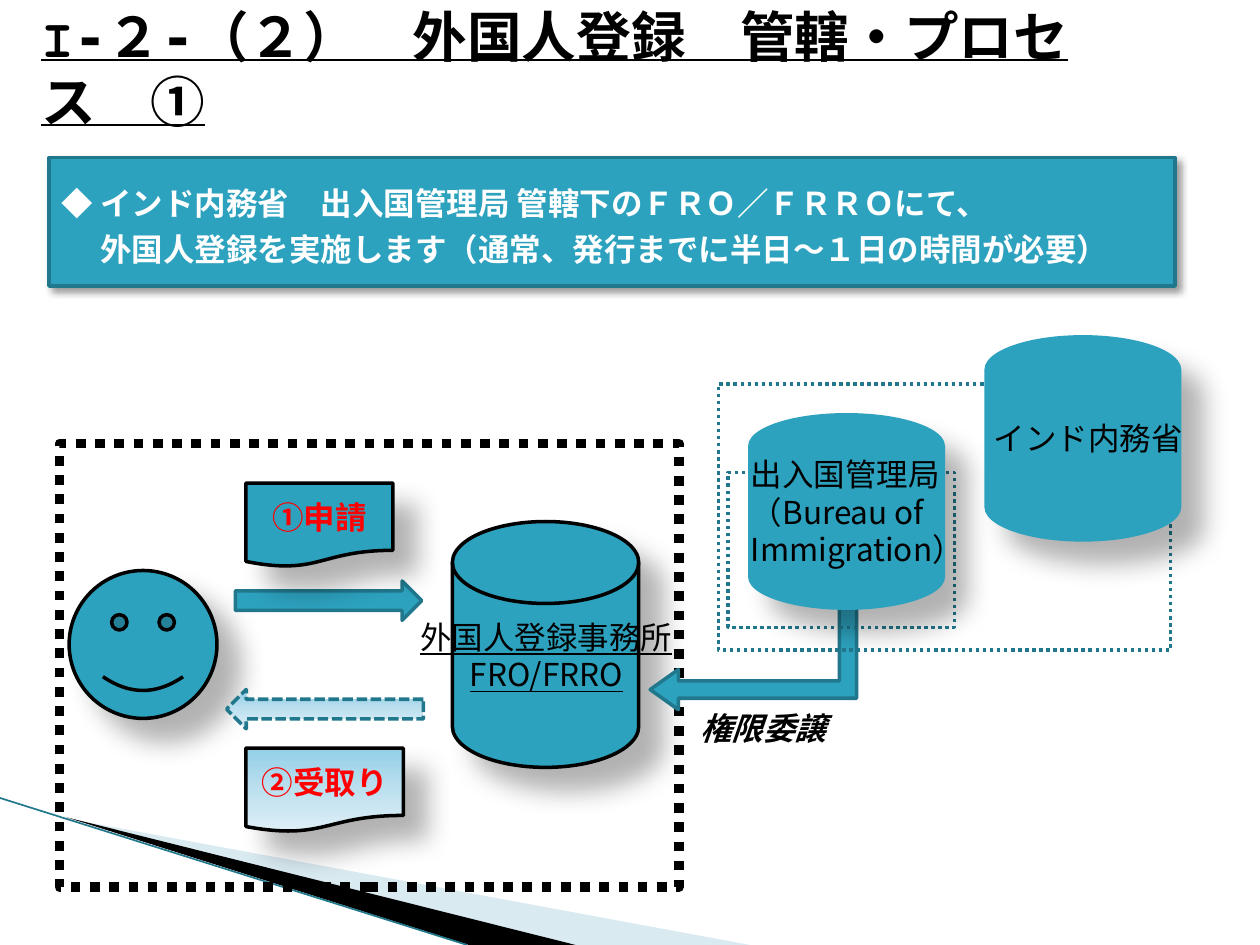
from lxml.etree import SubElement
from pptx import Presentation
from pptx.dml.color import RGBColor
from pptx.enum.dml import MSO_LINE
from pptx.enum.shapes import MSO_CONNECTOR, MSO_SHAPE
from pptx.enum.text import MSO_ANCHOR, PP_ALIGN
from pptx.oxml import parse_xml
from pptx.oxml.ns import nsdecls, qn
from pptx.util import Pt

TEAL, EDGE, BLACK, RED, WHITE = "2DA2BF", "21788D", "000000", "FF0000", "FFFFFF"
FADE = ("92CFE8", "BDE0EF", "DFEFF6")
SANS, MONO = "Noto Sans CJK JP", "DejaVu Sans Mono"
DEEP, SOFT = (30, 15, 18), (40, 4, 3)  # shadow opacity, blur, distance
DISK = MSO_SHAPE.FLOWCHART_MAGNETIC_DISK
DOC = MSO_SHAPE.FLOWCHART_DOCUMENT


def color(code):
    return RGBColor.from_string(code)


def put_fill(shape, fill):
    if fill is None:
        shape.fill.background()
    elif isinstance(fill, str):
        shape.fill.solid()
        shape.fill.fore_color.rgb = color(fill)
    else:
        stops = "".join(
            f'<a:gs pos="{i * 50000}"><a:srgbClr val="{c}"/></a:gs>'
            for i, c in enumerate(fill))
        grad = parse_xml(f'<a:gradFill {nsdecls("a")} rotWithShape="1"><a:gsLst>{stops}'
                         '</a:gsLst><a:lin ang="5400000" scaled="0"/></a:gradFill>')
        shape.element.spPr.find(qn("a:prstGeom")).addnext(grad)


def put_line(shape, line, width=2, dash=None):
    if line is None:
        shape.line.fill.background()
        return
    shape.line.color.rgb = color(line)
    shape.line.width = Pt(width)
    if dash:
        shape.line.dash_style = dash


def put_shade(shape, shade):
    shape.shadow.inherit = False
    if shade:
        alpha, blur, dist = shade
        shape.element.spPr.find(qn("a:effectLst")).append(parse_xml(
            f'<a:outerShdw {nsdecls("a")} blurRad="{Pt(blur)}" dist="{Pt(dist)}" '
            f'dir="2700000" algn="tl" rotWithShape="0"><a:srgbClr val="{BLACK}">'
            f'<a:alpha val="{alpha * 1000}"/></a:srgbClr></a:outerShdw>'))


def add_form(slide, kind, box, fill=TEAL, line=EDGE, width=2, dash=None, shade=None):
    shape = slide.shapes.add_shape(kind, *map(Pt, box))
    put_fill(shape, fill)
    put_line(shape, line, width, dash)
    put_shade(shape, shade)
    return shape


def put_text(shape, text, size=18, face=SANS, ink=BLACK, align=PP_ALIGN.CENTER,
             bold=False, under=False, slant=False, space=None):
    frame = shape.text_frame
    frame.text = text
    frame.word_wrap = True
    frame.vertical_anchor = MSO_ANCHOR.MIDDLE
    for para in frame.paragraphs:
        para.alignment = align
        if space:
            para.line_spacing = Pt(space)
        for run in para.runs:
            font = run.font
            font.size, font.name = Pt(size), face
            font.bold, font.italic, font.underline = bold, slant, under
            font.color.rgb = color(ink)
            SubElement(run._r.rPr, qn("a:ea")).set("typeface", face)


def add_text(slide, box, text, **style):
    shape = slide.shapes.add_textbox(*map(Pt, box))
    put_text(shape, text, **style)
    return shape


def draw_decor(slide, x, y):
    # Wedges and thin line in the lower left corner
    wedges = [("A0CBDC", [(39.5, 0), (428.5, 72), (328, 72)]),
              (BLACK, [(38, -1), (329, 72), (268, 72)])]
    for fill, points in wedges:
        start, *rest = [(Pt(x + a), Pt(y + b)) for a, b in points]
        form = slide.shapes.build_freeform(*start)
        form.add_line_segments(rest, close=True)
        shape = form.convert_to_shape()
        put_fill(shape, fill)
        put_line(shape, None)
        put_shade(shape, None)
        if fill != BLACK:
            tint = shape.element.spPr.find(qn("a:solidFill"))[0]
            SubElement(tint, qn("a:alpha")).set("val", "40000")
    rule = slide.shapes.add_connector(
        MSO_CONNECTOR.STRAIGHT, Pt(x), Pt(y - 12), Pt(x + 267), Pt(y + 72))
    put_line(rule, EDGE, 0.95)
    SubElement(rule.element.spPr, qn("a:effectLst"))


def draw_title(slide, x, y):
    title = add_text(slide, (x, y, 648, 45), "Ⅰ-２-（２）\u3000外国人登録\u3000管轄・プロセス\u3000①",
                     size=31.2, face=MONO, align=PP_ALIGN.LEFT, bold=True, under=True)
    # Pale outline of the letters
    for run in title.text_frame.paragraphs[0].runs:
        run._r.rPr.insert(0, parse_xml(
            f'<a:ln {nsdecls("a")} w="{Pt(1.4)}"><a:solidFill>'
            '<a:srgbClr val="FCFDFD"/></a:solidFill></a:ln>'))


def draw_banner(slide, x, y):
    bar = add_form(slide, MSO_SHAPE.RECTANGLE, (x, y, 643.5, 73.5), shade=SOFT)
    put_text(bar, "◆ インド内務省\u3000出入国管理局 管轄下のＦＲＯ／ＦＲＲＯにて、\n"
             "\u3000 外国人登録を実施します（通常、発行までに半日～１日の時間が必要）",
             ink=WHITE, align=PP_ALIGN.LEFT, bold=True, space=26)


def draw_office(slide, x, y):
    add_form(slide, MSO_SHAPE.RECTANGLE, (x, y, 354, 253.5), None, BLACK, 5.5,
             MSO_LINE.ROUND_DOT)
    # Applicant and registration office
    add_form(slide, MSO_SHAPE.SMILEY_FACE, (x + 5.5, y + 72.5, 84.5, 84.5),
             line=BLACK, shade=DEEP)
    add_form(slide, DISK, (x + 224.5, y + 44.5, 106.5, 140.5), line=BLACK, shade=DEEP)
    add_text(slide, (x + 196.5, y + 90, 163.5, 62), "外国人登録事務所\nFRO/FRRO", under=True)
    # Arrows out and back
    add_form(slide, MSO_SHAPE.RIGHT_ARROW, (x + 100.5, y + 78.5, 106.5, 22.5))
    back = add_form(slide, MSO_SHAPE.RIGHT_ARROW, (x + 95.5, y + 140.5, 112.5, 22.5),
                    FADE, dash=MSO_LINE.DASH)
    back.element.spPr.xfrm.set("flipH", "1")
    dash = back.element.spPr.find(qn("a:ln")).find(qn("a:prstDash"))
    dash.set("val", "sysDash")
    # Papers
    for text, top, wide, fill in (("②受取り", 174, 90, FADE), ("①申請", 22.5, 84, TEAL)):
        paper = add_form(slide, DOC, (x + 106.5, y + top, wide, 48), fill, BLACK, shade=DEEP)
        put_text(paper, text, face=MONO, ink=RED, bold=True)


def draw_ministry(slide, x, y):
    # Arrow that hands authority to the office
    arrow = add_form(slide, MSO_SHAPE.BENT_UP_ARROW, (x - 11, y + 96, 62, 118))
    arrow.element.spPr.xfrm.set("flipV", "1")
    arrow.rotation = 90
    for i, value in enumerate((0.16, 0.185, 0.26)):
        arrow.adjustments[i] = value
    add_text(slide, (x - 22.5, y + 168.5, 96, 56), "権限委譲", face=MONO, bold=True, slant=True)
    # Dotted areas
    for box in ((x, y, 258.5, 152), (x + 5.5, y + 50.5, 129.5, 88.5)):
        add_form(slide, MSO_SHAPE.RECTANGLE, box, None, dash=MSO_LINE.ROUND_DOT)
    # Bureau and ministry
    add_form(slide, DISK, (x + 17, y + 16.5, 112.5, 112.5), line=None, shade=DEEP)
    add_text(slide, (x + 11.5, y + 39, 174, 67.5),
             "出入国管理局\n（Bureau of\nImmigration）", align=PP_ALIGN.LEFT)
    add_form(slide, DISK, (x + 152, y - 28, 112.5, 118), line=None, shade=DEEP)
    add_text(slide, (x + 129.5, y, 163.5, 62), "インド内務省")


def main():
    deck = Presentation()
    deck.slide_width, deck.slide_height = Pt(720), Pt(540)
    slide = deck.slides.add_slide(deck.slide_layouts[6])
    draw_decor(slide, 0, 468)
    draw_banner(slide, 28, 90)
    draw_title(slide, 16.5, 16.5)
    draw_office(slide, 34, 253.5)
    draw_ministry(slide, 410.5, 219.5)
    deck.save("out.pptx")


if __name__ == "__main__":
    main()
